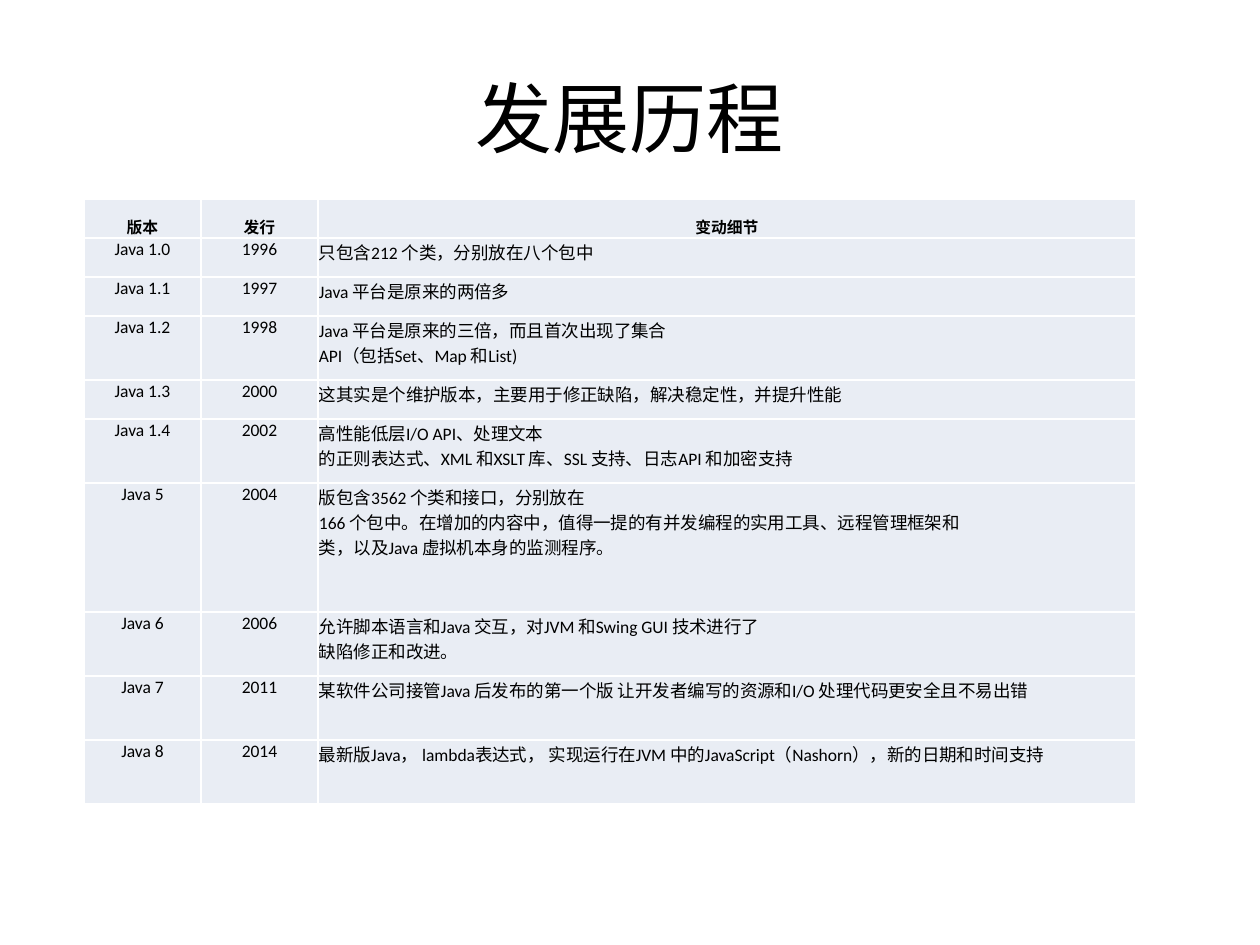
from lxml.etree import SubElement
from pptx import Presentation
from pptx.dml.color import RGBColor
from pptx.enum.text import MSO_ANCHOR, PP_ALIGN
from pptx.oxml.ns import qn
from pptx.util import Pt

PX = 914400 // 126
FONT = "Calibri"
COLORS = {"text": "000000", "cell": "E9EDF4", "border": "FFFFFF"}

TITLE = "发展历程"
HEADER = ("版本", "发行", "变动细节")
RELEASES = [
    ("Java 1.0", "1996", "只包含212 个类，分别放在八个包中"),
    ("Java 1.1", "1997", "Java 平台是原来的两倍多"),
    ("Java 1.2", "1998", "Java 平台是原来的三倍，而且首次出现了集合\nAPI（包括Set、Map 和List)"),
    ("Java 1.3", "2000", "这其实是个维护版本，主要用于修正缺陷，解决稳定性，并提升性能"),
    ("Java 1.4", "2002", "高性能低层I/O API、处理文本\n的正则表达式、XML 和XSLT 库、SSL 支持、日志API 和加密支持"),
    ("Java 5", "2004", "版包含3562 个类和接口，分别放在\n166 个包中。在增加的内容中，值得一提的有并发编程的实用工具、远程管理框架和\n类，以及Java 虚拟机本身的监测程序。"),
    ("Java 6", "2006", "允许脚本语言和Java 交互，对JVM 和Swing GUI 技术进行了\n缺陷修正和改进。"),
    ("Java 7", "2011", "某软件公司接管Java 后发布的第一个版 让开发者编写的资源和I/O 处理代码更安全且不易出错"),
    ("Java 8", "2014", "最新版Java， lambda表达式， 实现运行在JVM 中的JavaScript（Nashorn），新的日期和时间支持"),
]
TITLE_BOX = (63, 38, 1134, 157)
TABLE_LEFT, TABLE_TOP = 84, 199
COLUMN_WIDTHS = (117, 117, 818)
ROW_HEIGHTS = (39, 39, 39, 64, 39, 64, 129, 64, 64, 64)


def write_text(text_frame, text, size, bold=False, align=PP_ALIGN.CENTER):
    paragraph = text_frame.paragraphs[0]
    paragraph.alignment = align
    for index, line in enumerate(text.split("\n")):
        if index:
            paragraph.add_line_break()
        run = paragraph.add_run()
        run.text = line
        run.font.name = FONT
        run.font.size = Pt(size)
        run.font.bold = bold
        run.font.color.rgb = RGBColor.from_string(COLORS["text"])


def style_cell(cell, anchor):
    cell.margin_left = cell.margin_right = cell.margin_top = PX
    cell.margin_bottom = 0
    cell.vertical_anchor = anchor
    properties = cell._tc.get_or_add_tcPr()
    for side in ("a:lnL", "a:lnR", "a:lnT", "a:lnB"):
        line = SubElement(properties, qn(side), w=str(Pt(1)))
        fill = SubElement(line, qn("a:solidFill"))
        SubElement(fill, qn("a:srgbClr"), val=COLORS["border"])
    cell.fill.solid()
    cell.fill.fore_color.rgb = RGBColor.from_string(COLORS["cell"])


def add_title(slide):
    box = slide.shapes.add_textbox(*(value * PX for value in TITLE_BOX))
    box.text_frame.word_wrap = True
    box.text_frame.vertical_anchor = MSO_ANCHOR.MIDDLE
    write_text(box.text_frame, TITLE, size=44)


def add_release_table(slide):
    rows = [HEADER, *RELEASES]
    table = slide.shapes.add_table(
        len(rows), len(HEADER), TABLE_LEFT * PX, TABLE_TOP * PX,
        sum(COLUMN_WIDTHS) * PX, sum(ROW_HEIGHTS) * PX,
    ).table
    for column, width in zip(table.columns, COLUMN_WIDTHS):
        column.width = width * PX
    for row_index, (texts, height) in enumerate(zip(rows, ROW_HEIGHTS)):
        table.rows[row_index].height = height * PX
        is_header = row_index == 0
        for column_index, text in enumerate(texts):
            cell = table.cell(row_index, column_index)
            is_detail = column_index == 2 and not is_header
            style_cell(cell, MSO_ANCHOR.BOTTOM if is_header else MSO_ANCHOR.TOP)
            write_text(
                cell.text_frame, text, size=9 if is_header else 10, bold=is_header,
                align=PP_ALIGN.LEFT if is_detail else PP_ALIGN.CENTER,
            )


def main():
    presentation = Presentation()
    presentation.slide_width = 1260 * PX
    presentation.slide_height = 945 * PX
    slide = presentation.slides.add_slide(presentation.slide_layouts[6])
    add_title(slide)
    add_release_table(slide)
    presentation.save("out.pptx")


if __name__ == "__main__":
    main()
